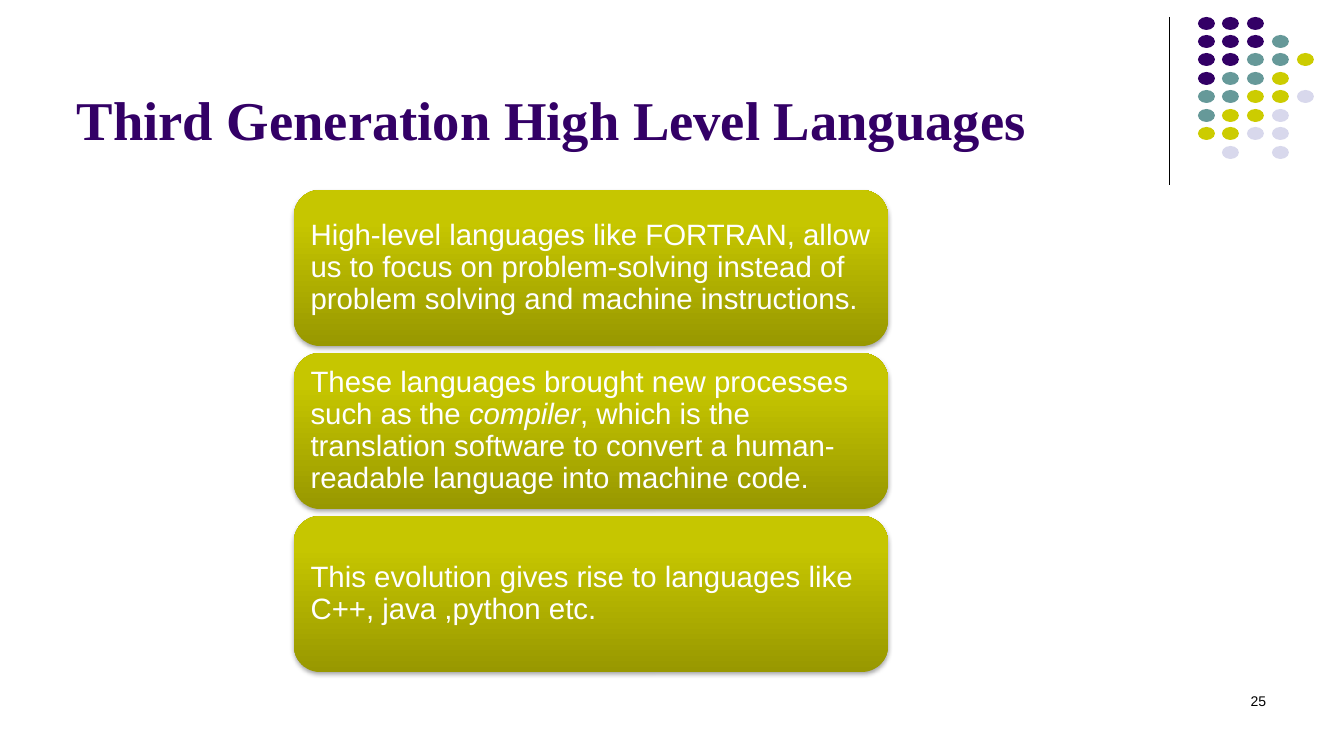
from lxml import etree
from pptx import Presentation
from pptx.dml.color import RGBColor
from pptx.enum.shapes import MSO_CONNECTOR, MSO_SHAPE
from pptx.enum.text import MSO_ANCHOR, PP_ALIGN
from pptx.oxml import parse_xml
from pptx.oxml.ns import qn
from pptx.util import Pt

ELLIPSE, ROUNDED = MSO_SHAPE.OVAL, MSO_SHAPE.ROUNDED_RECTANGLE
STRAIGHT = MSO_CONNECTOR.STRAIGHT
TOP, MIDDLE, BOTTOM = MSO_ANCHOR.TOP, MSO_ANCHOR.MIDDLE, MSO_ANCHOR.BOTTOM
LEFT, RIGHT = PP_ALIGN.LEFT, PP_ALIGN.RIGHT
NAMESPACE = 'xmlns:a="http://schemas.openxmlformats.org/drawingml/2006/main"'

COLORS = {
    "purple": "330066", "teal": "669999", "olive": "CCCC00", "lavender": "D8D8EC",
    "black": "000000", "white": "FFFFFF",
    "card_bottom": "989800", "card_upper": "C6C600", "card_top": "C7C700",
}


def px(*lengths):
    """Turn pixels (100.8 to the inch) into EMU."""
    return [round(length * 914400 / 100.8) for length in lengths]


def write(shape, runs, font_name, size, color, anchor, align=LEFT):
    """Fill a shape with one paragraph of (text, italic) runs."""
    frame = shape.text_frame
    frame.word_wrap = True
    frame.vertical_anchor = anchor
    paragraph = frame.paragraphs[0]
    paragraph.alignment = align
    paragraph.font.name = font_name
    paragraph.font.size = Pt(size)
    paragraph.font.color.rgb = RGBColor.from_string(COLORS[color])
    for text, italic in runs:
        run = paragraph.add_run()
        run.text = text
        if italic:
            run.font.italic = True
    return paragraph


presentation = Presentation()
presentation.slide_width, presentation.slide_height = px(1344, 756)
slide = presentation.slides.add_slide(presentation.slide_layouts[6])
shapes = slide.shapes

# Vertical rule beside the dots
rule = shapes.add_connector(STRAIGHT, *px(1170, 17, 1170, 185))
rule.line.color.rgb = RGBColor.from_string(COLORS["black"])
rule.line.width = Pt(0.75)
etree.SubElement(rule._element.spPr, qn("a:effectLst"))

# Dot pattern: one letter per dot, a space for a gap
DOT_COLORS = {"p": "purple", "t": "teal", "o": "olive", "l": "lavender"}
DOT_ROWS = ["ppp", "pppt", "pptto", "ptto", "ttool", "tool", "ooll", " l l"]
for row, letters in enumerate(DOT_ROWS):
    for column, letter in enumerate(letters):
        if letter == " ":
            continue
        dot = shapes.add_shape(
            ELLIPSE, *px(1198 + 99 * column // 4, 17 + 129 * row // 7, 17, 13))
        dot.shadow.inherit = False
        dot.fill.solid()
        dot.fill.fore_color.rgb = RGBColor.from_string(COLORS[DOT_COLORS[letter]])
        dot.line.fill.background()

# Title
title = shapes.add_textbox(*px(67, 13, 1109, 143))
heading = write(title, [("Third Generation High Level Languages", False)],
                "Times New Roman", 39, "purple", BOTTOM)
heading.font.bold = True

# Page number
page_number = shapes.add_textbox(*px(963, 688, 313, 50))
write(page_number, [("25", False)], "Arial", 10, "black", TOP, RIGHT)

# Stacked cards
CARDS = [
    [("High-level languages like FORTRAN, allow us to focus on problem-solving "
      "instead of problem solving and machine instructions.", False)],
    [("These languages brought new processes such as the ", False),
     ("compiler", True),
     (", which is the translation software to convert a human-readable language "
      "into machine code.", False)],
    [("This evolution gives rise to languages like C++, java ,python etc.", False)],
]
GRADIENT = f"""<a:gradFill {NAMESPACE} rotWithShape="1"><a:gsLst>
<a:gs pos="0"><a:srgbClr val="{COLORS['card_bottom']}"/></a:gs>
<a:gs pos="80000"><a:srgbClr val="{COLORS['card_upper']}"/></a:gs>
<a:gs pos="100000"><a:srgbClr val="{COLORS['card_top']}"/></a:gs>
</a:gsLst><a:lin ang="16200000" scaled="0"/></a:gradFill>"""
SHADOW = f"""<a:effectLst {NAMESPACE}>
<a:outerShdw blurRad="40000" dist="23000" dir="5400000" rotWithShape="0">
<a:srgbClr val="{COLORS['black']}"><a:alpha val="35000"/></a:srgbClr>
</a:outerShdw></a:effectLst>"""
for index, runs in enumerate(CARDS):
    card = shapes.add_shape(ROUNDED, *px(294, 190 + 163 * index, 594, 156))
    card.line.fill.background()
    properties = card._element.spPr
    properties.find(qn("a:prstGeom")).addnext(parse_xml(GRADIENT))
    properties.append(parse_xml(SHADOW))
    frame = card.text_frame
    (frame.margin_left, frame.margin_top,
     frame.margin_right, frame.margin_bottom) = px(9, 9, 9, 9)
    paragraph = write(card, runs, "Arial", 21, "white", MIDDLE)
    paragraph.line_spacing = 0.9

presentation.save("out.pptx")
